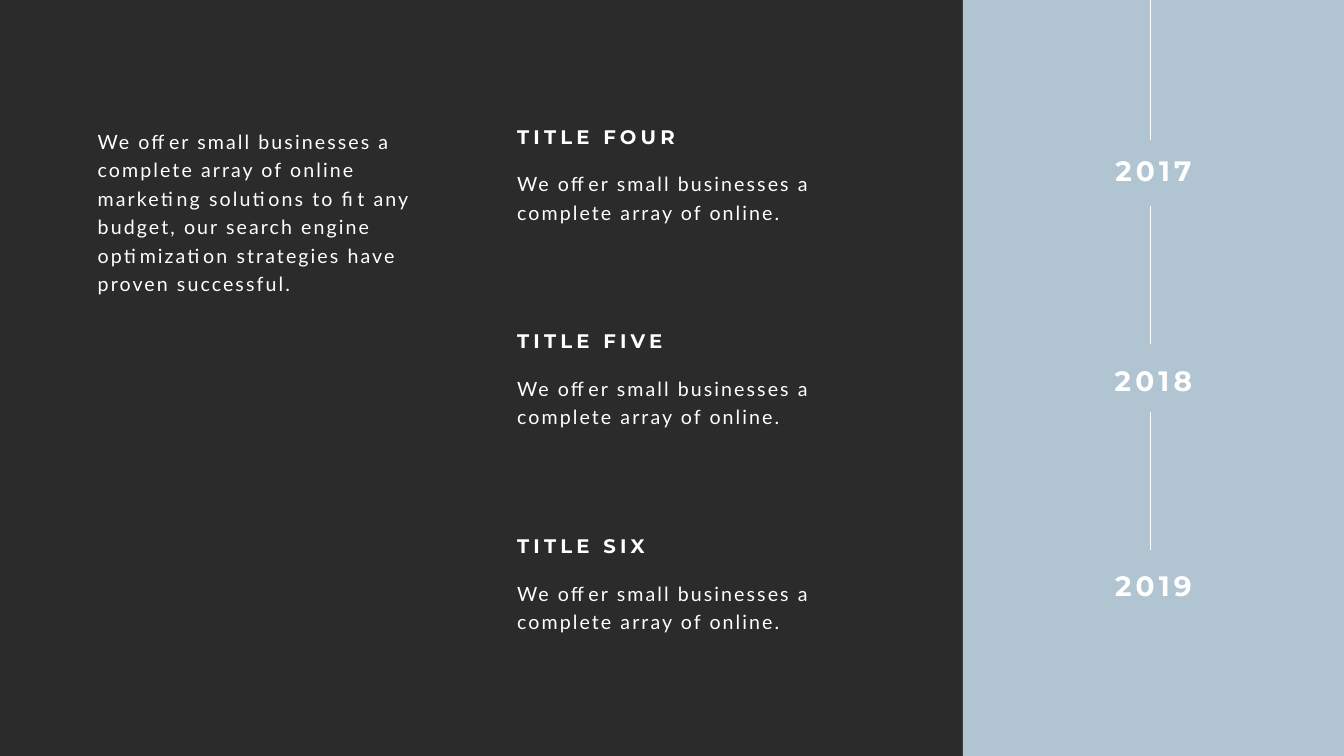
from lxml import etree
from pptx import Presentation
from pptx.dml.color import RGBColor
from pptx.enum.shapes import MSO_CONNECTOR, MSO_SHAPE
from pptx.enum.text import MSO_AUTO_SIZE, PP_ALIGN
from pptx.oxml.ns import qn
from pptx.util import Pt

STRAIGHT = MSO_CONNECTOR.STRAIGHT
RECTANGLE = MSO_SHAPE.RECTANGLE
FIT_SHAPE = MSO_AUTO_SIZE.SHAPE_TO_FIT_TEXT
LEFT, CENTER = PP_ALIGN.LEFT, PP_ALIGN.CENTER

SLIDE_WIDTH, SLIDE_HEIGHT = 1919.52, 1080
DARK, BLUE, WHITE = "2B2B2B", "B1C4D2", "FFFFFF"

BODY = {
    "font": {"name": "Lato", "size": Pt(28), "bold": False},
    "paragraph": {"alignment": LEFT, "line_spacing": Pt(40.8)},
    "tracking": 3,
}
TITLE = {
    "font": {"name": "Montserrat", "size": Pt(28), "bold": True},
    "paragraph": {"alignment": LEFT},
    "tracking": 6,
}
YEAR = {
    "font": {"name": "Montserrat", "size": Pt(40), "bold": True},
    "paragraph": {"alignment": CENTER},
    "tracking": 6,
}

INTRODUCTION = (
    "We offer small businesses a complete array of online marketing solutions "
    "to fit any budget, our search engine optimization strategies have proven successful."
)
SUMMARY = "We offer small businesses a complete array of online."
TITLES = ["TITLE FOUR", "TITLE FIVE", "TITLE SIX"]
YEARS = [("2017", 216), ("2018", 516.24), ("2019", 808.56)]
LINE_SPANS = [(-3.6, 200.16), (293.76, 491.04), (588.96, 786.24)]


def color(value):
    return RGBColor.from_string(value)


def apply(target, values):
    for name, value in values.items():
        setattr(target, name, value)


def add_text(shapes, text, box, style):
    shape = shapes.add_textbox(*map(Pt, box))
    frame = shape.text_frame
    apply(frame, {"word_wrap": True, "auto_size": FIT_SHAPE})
    paragraph = frame.paragraphs[0]
    apply(paragraph, style["paragraph"])
    run = paragraph.add_run()
    run.text = text
    apply(run.font, style["font"])
    run.font.color.rgb = color(WHITE)
    run._r.get_or_add_rPr().set("spc", str(style["tracking"] * 100))


def add_line(shapes, x, top, bottom):
    line = shapes.add_connector(STRAIGHT, Pt(x), Pt(top), Pt(x), Pt(bottom))
    line.line.color.rgb = color(WHITE)
    line.line.width = Pt(0.5)
    etree.SubElement(line._element.spPr, qn("a:effectLst"))


def add_panel(shapes, box):
    panel = shapes.add_shape(RECTANGLE, *map(Pt, box))
    panel.shadow.inherit = False
    panel.fill.solid()
    panel.fill.fore_color.rgb = color(BLUE)
    panel.line.fill.background()


def add_entries(shapes, box):
    left, top, width, height = box
    step = height / len(TITLES)
    for index, title in enumerate(TITLES):
        entry = shapes.add_group_shape().shapes
        entry_top = top + index * step
        add_text(entry, SUMMARY, (left, entry_top + 60.6, width, 85.68), BODY)
        add_text(entry, title, (left, entry_top, 411.84, 41.04), TITLE)


def add_timeline(shapes, box):
    left, top, width, height = box
    timeline = shapes.add_group_shape().shapes
    for year, offset in YEARS:
        add_text(timeline, year, (left + 154.8, top + offset, 234.72, 55.44), YEAR)
    for start, end in LINE_SPANS:
        add_line(timeline, left + 267.12, top + start, top + end)


def main():
    presentation = Presentation()
    presentation.slide_width = Pt(SLIDE_WIDTH)
    presentation.slide_height = Pt(SLIDE_HEIGHT)
    slide = presentation.slides.add_slide(presentation.slide_layouts[6])
    slide.background.fill.solid()
    slide.background.fill.fore_color.rgb = color(DARK)

    panel_left = 1375.2
    panel_box = (panel_left, 0, SLIDE_WIDTH - panel_left, SLIDE_HEIGHT)
    add_panel(slide.shapes, panel_box)
    add_entries(slide.shapes, (731.52, 174.24, 445.68, 878.04))
    add_timeline(slide.shapes, panel_box)
    add_text(slide.shapes, INTRODUCTION, (132.48, 174.24, 469.44, 251.28), BODY)
    presentation.save("out.pptx")


if __name__ == "__main__":
    main()
